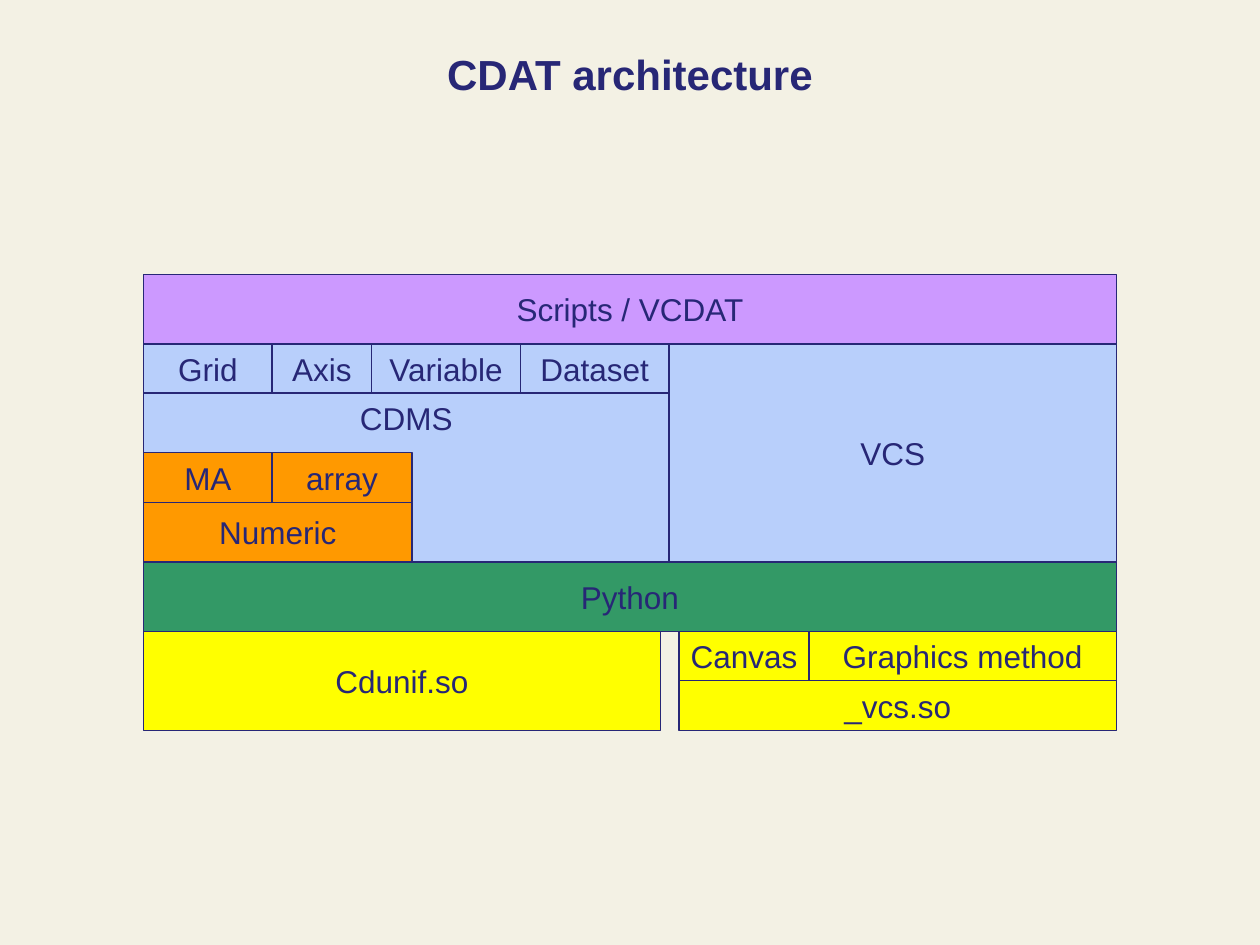
from dataclasses import dataclass

from pptx import Presentation
from pptx.dml.color import RGBColor
from pptx.enum.shapes import MSO_SHAPE
from pptx.enum.text import MSO_ANCHOR, PP_ALIGN
from pptx.util import Inches, Pt

INK = "272776"
BLUE, PURPLE, GREEN = "B8CFFB", "CC99FF", "339966"
YELLOW, ORANGE = "FFFF00", "FF9900"
LEFT, VCS_LEFT, LIB_LEFT, RIGHT = 1.14, 5.31, 5.39, 8.86


@dataclass
class Block:
    text: str
    width: float


@dataclass
class Row:
    """Blocks of one height and colour, placed side by side."""
    left: float
    top: float
    height: float
    color: str
    blocks: list[Block]
    anchor: MSO_ANCHOR = MSO_ANCHOR.MIDDLE


def rgb(color: str) -> RGBColor:
    return RGBColor.from_string(color)


def write(tf, text: str, *, size: int = 18, bold: bool = False,
          anchor: MSO_ANCHOR = MSO_ANCHOR.MIDDLE, wrap: bool = False) -> None:
    tf.word_wrap = wrap
    tf.vertical_anchor = anchor
    p = tf.paragraphs[0]
    p.alignment = PP_ALIGN.CENTER
    r = p.add_run()
    r.text = text
    r.font.name = "Arial"
    r.font.size = Pt(size)
    r.font.bold = bold
    r.font.color.rgb = rgb(INK)


def draw_row(s, row: Row) -> None:
    left = row.left
    for block in row.blocks:
        sp = s.shapes.add_shape(MSO_SHAPE.RECTANGLE, Inches(left), Inches(row.top),
                                Inches(block.width), Inches(row.height))
        sp.shadow.inherit = False
        sp.fill.solid()
        sp.fill.fore_color.rgb = rgb(row.color)
        sp.line.color.rgb = rgb(INK)
        sp.line.width = Pt(0.74)
        write(sp.text_frame, block.text, anchor=row.anchor)
        left += block.width


prs = Presentation()
prs.slide_width, prs.slide_height = Inches(10), Inches(7.5)
s = prs.slides.add_slide(prs.slide_layouts[6])
s.background.fill.solid()
s.background.fill.fore_color.rgb = rgb("F3F1E4")

# Title
title = s.shapes.add_textbox(Inches(0.75), Inches(0.25), Inches(8.5), Inches(0.67))
write(title.text_frame, "CDAT architecture", size=24, bold=True, wrap=True)

# Architecture layers, from top to bottom
full = RIGHT - LEFT
rows = [
    Row(LEFT, 2.18, 0.55, PURPLE, [Block("Scripts / VCDAT", full)]),
    Row(LEFT, 2.73, 0.39, BLUE, [Block("Grid", 1.02), Block("Axis", 0.79),
                                 Block("Variable", 1.18), Block("Dataset", 1.18)]),
    Row(LEFT, 3.12, 1.34, BLUE, [Block("CDMS", VCS_LEFT - LEFT)], MSO_ANCHOR.TOP),
    Row(VCS_LEFT, 2.73, 1.73, BLUE, [Block("VCS", RIGHT - VCS_LEFT)]),
    Row(LEFT, 3.59, 0.4, ORANGE, [Block("MA", 1.02), Block("array", 1.11)]),
    Row(LEFT, 3.99, 0.47, ORANGE, [Block("Numeric", 2.13)]),
    Row(LEFT, 4.46, 0.55, GREEN, [Block("Python", full)]),
    Row(LEFT, 5.01, 0.79, YELLOW, [Block("Cdunif.so", 4.1)]),
    Row(LIB_LEFT, 5.01, 0.39, YELLOW, [Block("Canvas", 1.03),
                                       Block("Graphics method", 2.44)]),
    Row(LIB_LEFT, 5.4, 0.4, YELLOW, [Block("_vcs.so", RIGHT - LIB_LEFT)]),
]
for row in rows:
    draw_row(s, row)

prs.save("out.pptx")
